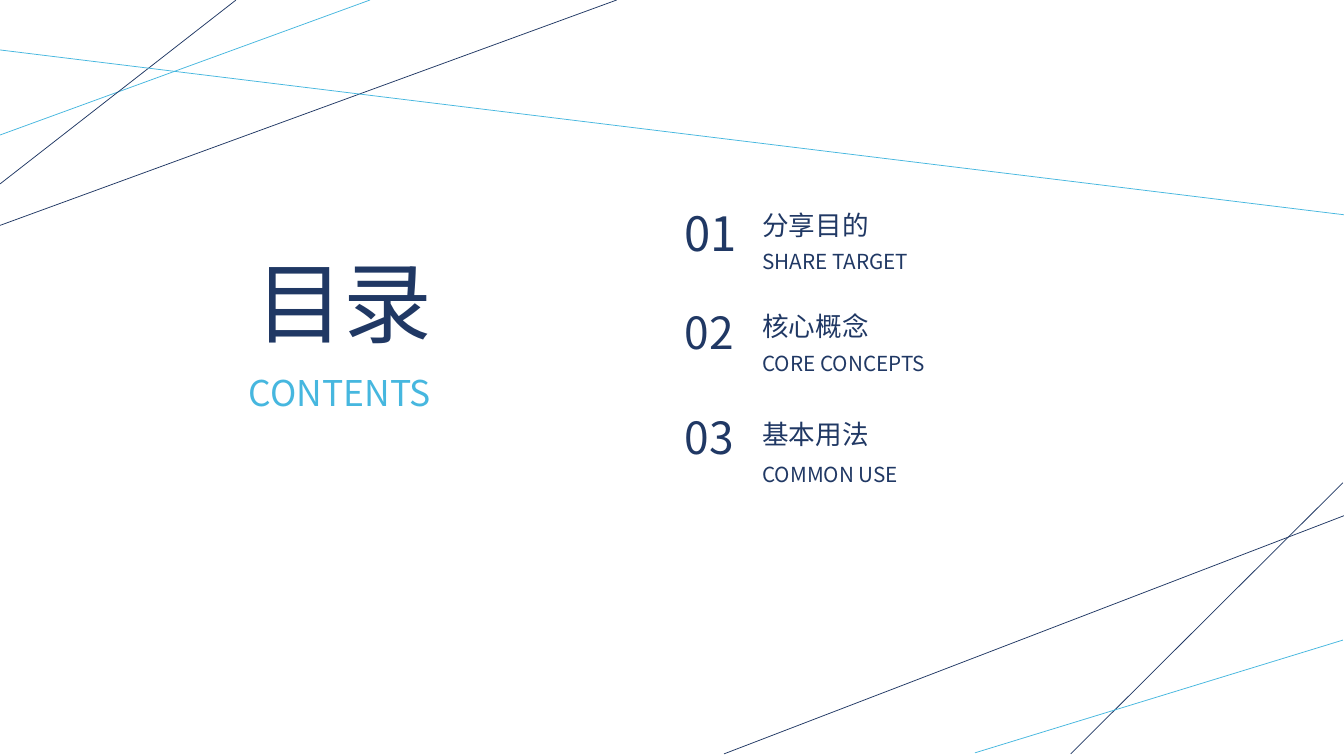
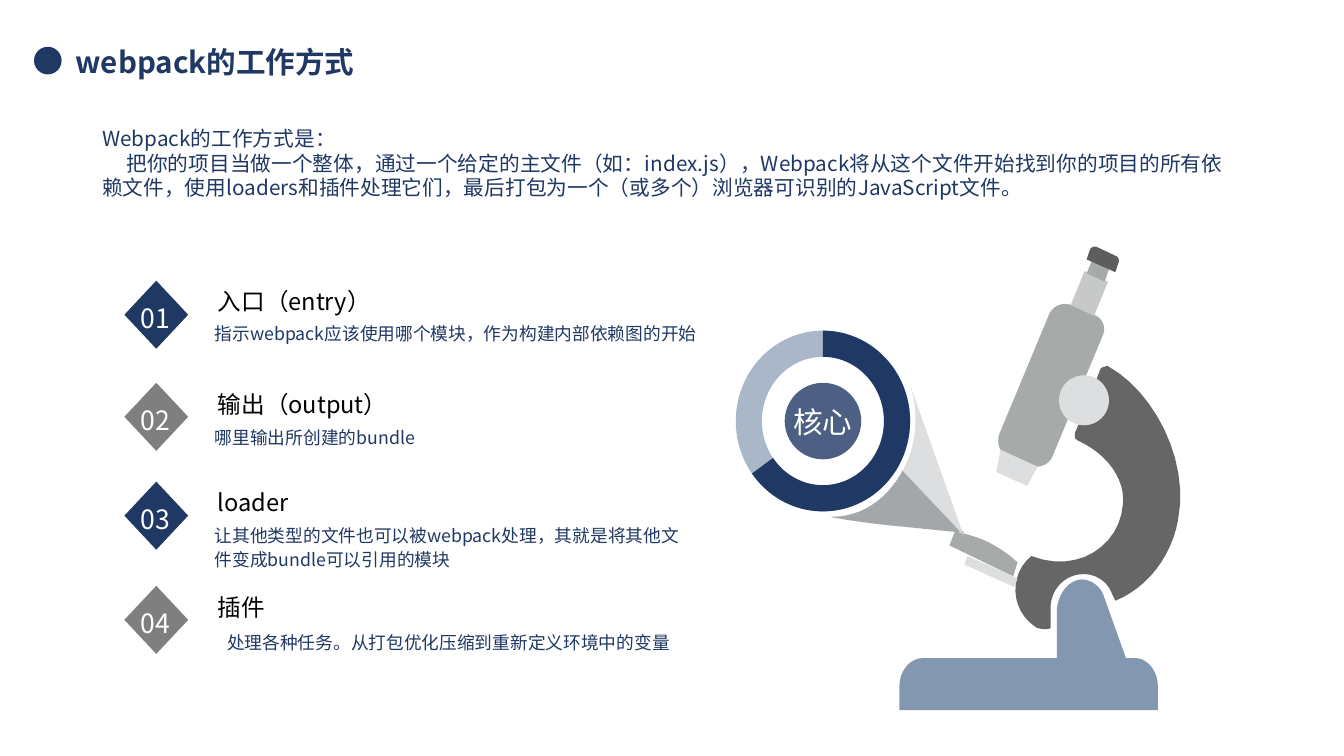
"""Build a contents slide and a slide on how webpack works."""
import pptx
import pptx.dml.color
import pptx.enum.shapes
import pptx.enum.text
import pptx.oxml.ns
import pptx.util
from lxml import etree

Inches = pptx.util.Inches
SHAPES = pptx.enum.shapes.MSO_SHAPE
ALIGN = pptx.enum.text.PP_ALIGN
qn = pptx.oxml.ns.qn


def write_text(frame, text, *, size, color, font, bold=False, align=ALIGN.LEFT,
               spacing=1.16, inset=0.07, first_indents=()):
    frame.word_wrap = True
    frame.auto_size = pptx.enum.text.MSO_AUTO_SIZE.NONE
    frame.vertical_anchor = pptx.enum.text.MSO_ANCHOR.TOP
    frame.margin_left = frame.margin_right = Inches(0.14)
    frame.margin_top = frame.margin_bottom = Inches(inset)
    for index, line in enumerate(text.split("\n")):
        paragraph = frame.paragraphs[0] if index == 0 else frame.add_paragraph()
        paragraph.alignment = align
        paragraph.line_spacing = spacing
        paragraph.space_before = paragraph.space_after = pptx.util.Pt(0)
        indent = first_indents[index] if first_indents else 0
        properties = paragraph._p.get_or_add_pPr()
        properties.set("marL", "0")
        properties.set("indent", str(int(Inches(indent))))
        etree.SubElement(properties, qn("a:buNone"))
        run = paragraph.add_run()
        run.text = line
        run.font.size = pptx.util.Pt(size)
        run.font.bold = bold
        run.font.color.rgb = pptx.dml.color.RGBColor.from_string(color)
        run.font.name = font
        etree.SubElement(run._r.get_or_add_rPr(), qn("a:ea"), typeface=font)


class Deck:
    FONT = "Noto Sans CJK SC"
    COLORS = {
        "navy": "203864", "sky": "46B7DF", "white": "FFFFFF", "black": "000000",
        "gray": "7F7F7F", "steel": "8497B0", "slate": "4D6083", "arm": "666666",
        "metal": "A6AAA9", "pale": "DCDEE0", "silver": "C6C9C8", "cap": "5D5D5D",
        "beam": "A4A7AA",
    }
    CURVE_STEPS = 12

    def __init__(self, width, height):
        self.file = pptx.Presentation()
        self.file.slide_width = Inches(width)
        self.file.slide_height = Inches(height)
        self.slide = None

    def new_slide(self, layout):
        self.slide = self.file.slides.add_slide(self.file.slide_layouts.get_by_name(layout))

    def rgb(self, color):
        return pptx.dml.color.RGBColor.from_string(self.COLORS[color])

    def fill_placeholder(self, index, text, box, color="navy", **style):
        holder = self.slide.placeholders[index]
        holder.left, holder.top, holder.width, holder.height = map(Inches, box)
        write_text(holder.text_frame, text, color=self.COLORS[color], font=self.FONT, **style)

    def text(self, text, box, color="navy", **style):
        label = self.slide.shapes.add_textbox(*map(Inches, box))
        write_text(label.text_frame, text, color=self.COLORS[color], font=self.FONT, **style)

    def paint(self, shape, color, opacity=None):
        shape.shadow.inherit = False
        shape.fill.solid()
        shape.fill.fore_color.rgb = self.rgb(color)
        shape.line.fill.background()
        if opacity is not None:
            tint = shape._element.spPr.find(".//" + qn("a:srgbClr"))
            etree.SubElement(tint, qn("a:alpha"), val=str(opacity * 1000))

    def shape(self, kind, box, color, adjustments=(), opacity=None):
        shape = self.slide.shapes.add_shape(kind, *map(Inches, box))
        for index, value in enumerate(adjustments):
            shape.adjustments[index] = value
        self.paint(shape, color, opacity)

    def line(self, x1, y1, x2, y2, color):
        line = self.slide.shapes.add_connector(
            pptx.enum.shapes.MSO_CONNECTOR.STRAIGHT, *map(Inches, (x1, y1, x2, y2)))
        line.line.color.rgb = self.rgb(color)
        line.line.width = pptx.util.Pt(0.5)
        etree.SubElement(line._element.spPr, qn("a:effectLst"))

    def outline(self, color, route):
        """Draw a closed outline; a step of two numbers is a line, of six a Bézier curve."""
        start, *steps = [tuple(map(float, step.split())) for step in route.split(",")]
        points = [start]
        for step in steps:
            if len(step) == 2:
                points.append(step)
                continue
            knots = (points[-1], step[:2], step[2:4], step[4:])
            for count in range(1, self.CURVE_STEPS + 1):
                t = count / self.CURVE_STEPS
                weights = ((1 - t) ** 3, 3 * t * (1 - t) ** 2, 3 * t * t * (1 - t), t ** 3)
                points.append(tuple(sum(w * knot[axis] for w, knot in zip(weights, knots))
                                    for axis in (0, 1)))
        corners = [(Inches(x), Inches(y)) for x, y in points]
        builder = self.slide.shapes.build_freeform(*corners[0])
        builder.add_line_segments(corners[1:], close=True)
        self.paint(builder.convert_to_shape(), color)


RAYS = [
    (0, 2.12, 5.8, 0, "navy"), (0, 1.27, 3.48, 0, "sky"), (0, 1.73, 2.22, 0, "navy"),
    (0, 0.47, 12.64, 2.02, "sky"), (6.81, 7.09, 12.64, 4.85, "navy"),
    (10.07, 7.09, 12.63, 4.54, "navy"), (9.17, 7.08, 12.63, 6.02, "sky"),
]

CHAPTERS = [
    ("01", 32, 1.77, "分享目的", 1.85, "SHARE TARGET", 2.25),
    ("02", 30, 2.72, "核心概念", 2.8, "CORE CONCEPTS", 3.21),
    ("03", 30, 3.71, "基本用法", 3.81, "COMMON USE", 4.26),
]

CONCEPTS = [
    (2.64, "入口（entry）", "指示webpack应该使用哪个模块，作为构建内部依赖图的开始",
     2.99, 4.85, ALIGN.LEFT),
    (3.6, "输出（output）", "哪里输出所创建的bundle", 3.97, 4.68, ALIGN.LEFT),
    (4.53, "loader", "让其他类型的文件也可以被webpack处理，其就是将其他文件变成bundle可以引用的模块",
     4.89, 4.68, ALIGN.LEFT),
    (5.51, "插件", "处理各种任务。从打包优化压缩到重新定义环境中的变量", 5.9, 4.68, ALIGN.CENTER),
]

MICROSCOPE_STAND = [
    ("steel", "10.17 5.45, 10.04 5.46 9.94 5.6 9.94 5.76, 9.94 6.19, 8.68 6.19, "
              "8.56 6.19 8.46 6.31 8.46 6.45, 8.46 6.68, 10.89 6.68, 10.89 6.45, "
              "10.89 6.31 10.79 6.19 10.68 6.19, 10.59 6.19, 10.39 5.63, "
              "10.36 5.52 10.27 5.45 10.17 5.45"),
    ("arm", "10.43 3.45, 10.42 3.44 10.4 3.44 10.39 3.45, 10.37 3.45 10.36 3.46 10.35 3.47, "
            "10.19 3.89, 10.11 4.07, 10.11 4.09 10.11 4.1 10.11 4.12, "
            "10.12 4.13 10.13 4.14 10.15 4.15, 10.41 4.27 10.59 4.51 10.56 4.75, "
            "10.53 5.13 10.14 5.4 9.7 5.23, 9.49 5.4 9.5 5.73 9.73 5.89, "
            "9.74 5.9 9.76 5.91 9.77 5.91, 9.81 5.92 9.84 5.92 9.88 5.91, 9.88 5.72, "
            "9.88 5.54 10.02 5.4 10.19 5.4, 10.31 5.4 10.42 5.47 10.46 5.59, 10.49 5.65, "
            "10.79 5.53 11.02 5.23 11.08 4.89, 11.19 4.31 10.84 3.68 10.43 3.45"),
    ("metal", "9.57 5.29, 9.49 5.21 9.39 5.15 9.3 5.1, 9.19 5.05 9.09 5.02 8.98 5, "
              "8.93 5.13, 9.53 5.42"),
    ("pale", "9.1 5.23, 9.57 5.44, 9.54 5.52, 9.07 5.31"),
    ("metal", "9.87 2.95, 9.91 2.87 10 2.84 10.08 2.87, 10.29 2.96, "
              "10.37 2.99 10.41 3.08 10.37 3.16, 9.9 4.29, 9.87 4.37 9.77 4.41 9.69 4.38, "
              "9.48 4.29, 9.4 4.26 9.37 4.16 9.4 4.08"),
]

LENSES_AND_BEAM = [
    ("pale", "9.41 4.23, 9.37 4.44, 9.66 4.57, 9.76 4.39"),
    ("silver", "10.2 2.55, 10.07 2.87, 10.29 2.97, 10.42 2.65"),
    ("metal", "10.43 2.53, 10.27 2.45, 10.22 2.57, 10.39 2.65"),
    ("cap", "10.29 2.32, 10.28 2.32 10.26 2.33 10.25 2.35, 10.22 2.44, 10.49 2.56, "
            "10.52 2.47, 10.53 2.45 10.52 2.42 10.5 2.41, 10.31 2.32"),
    ("beam", "8.49 4.42, 8.47 4.46, 8.33 4.7 8.1 4.86 7.83 4.86, 7.8 4.86, "
             "8.02 4.9 8.24 4.93 8.46 4.95, 8.66 4.97 8.86 4.99 9.07 5.01, 8.51 4.43"),
    ("pale", "8.56 3.62, 9.06 5.03, 8.54 4.48, 8.49 4.43, 8.55 4.3, "
             "8.59 4.19 8.61 4.07 8.61 3.94, 8.61 3.84 8.6 3.75 8.57 3.66"),
]


def build_contents(deck):
    deck.new_slide("Title Only")
    deck.fill_placeholder(0, "目录", (2.26, 2.16, 2.12, 1.15), size=60, inset=0.01)
    deck.text("CONTENTS", (2.2, 3.37, 2.25, 0.57), "sky", size=24, inset=0.06)
    for ray in RAYS:
        deck.line(*ray)
    for number, size, number_top, chapter, chapter_top, english, english_top in CHAPTERS:
        deck.text(number, (6.3, number_top, 1.17, 0.99), size=size)
        deck.text(chapter, (7.03, chapter_top, 2.43, 0.47), size=18)
        deck.text(english, (7.03, english_top, 3.96, 0.38), size=14, inset=0.05)


def build_workflow(deck):
    deck.new_slide("Title and Content")
    deck.fill_placeholder(0, "webpack的工作方式", (0.57, 0.29, 3.5, 0.5), size=20, bold=True)
    intro = ("Webpack的工作方式是：\n"
             "把你的项目当做一个整体，通过一个给定的主文件（如：index.js），"
             "Webpack将从这个文件开始找到你的项目的所有依赖文件，使用loaders和插件处理它们，"
             "最后打包为一个（或多个）浏览器可识别的JavaScript文件。")
    deck.fill_placeholder(1, intro, (0.82, 1.14, 10.83, 1.07), size=14, spacing=1.0,
                          inset=0.04, first_indents=(0, 0.23))
    deck.shape(SHAPES.OVAL, (0.32, 0.44, 0.26, 0.26), "navy")

    ring = (6.92, 3.11, 1.64, 1.7)
    thickness = 0.15
    degree = 0.6
    deck.shape(SHAPES.DONUT, ring, "steel", (thickness,), opacity=69)
    deck.shape(SHAPES.BLOCK_ARC, ring, "navy", (270 * degree, 143.5 * degree, thickness))
    deck.shape(SHAPES.OVAL, (7.38, 3.6, 0.72, 0.72), "slate")
    for part in MICROSCOPE_STAND:
        deck.outline(*part)
    deck.shape(SHAPES.OVAL, (9.96, 3.53, 0.47, 0.47), "pale")
    for part in LENSES_AND_BEAM:
        deck.outline(*part)
    deck.text("核心", (7.32, 3.68, 1.75, 0.51), "white", size=20)

    for index, (top, concept, detail, detail_top, width, align) in enumerate(CONCEPTS):
        deck.shape(SHAPES.DIAMOND, (1.17, top, 0.6, 0.64), ("navy", "gray")[index % 2])
        deck.text(f"{index + 1:02}", (1.18, top + 0.1, 0.76, 0.45), "white", size=18, inset=0.05)
        deck.text(concept, (1.91, top, 2.05, 0.35), "black", size=16, inset=0.02)
        deck.text(detail, (1.88, detail_top, width, 0.47), size=12, inset=0.01, align=align)


def main():
    deck = Deck(12.64, 7.11)
    build_contents(deck)
    build_workflow(deck)
    deck.file.save("out.pptx")


if __name__ == "__main__":
    main()
